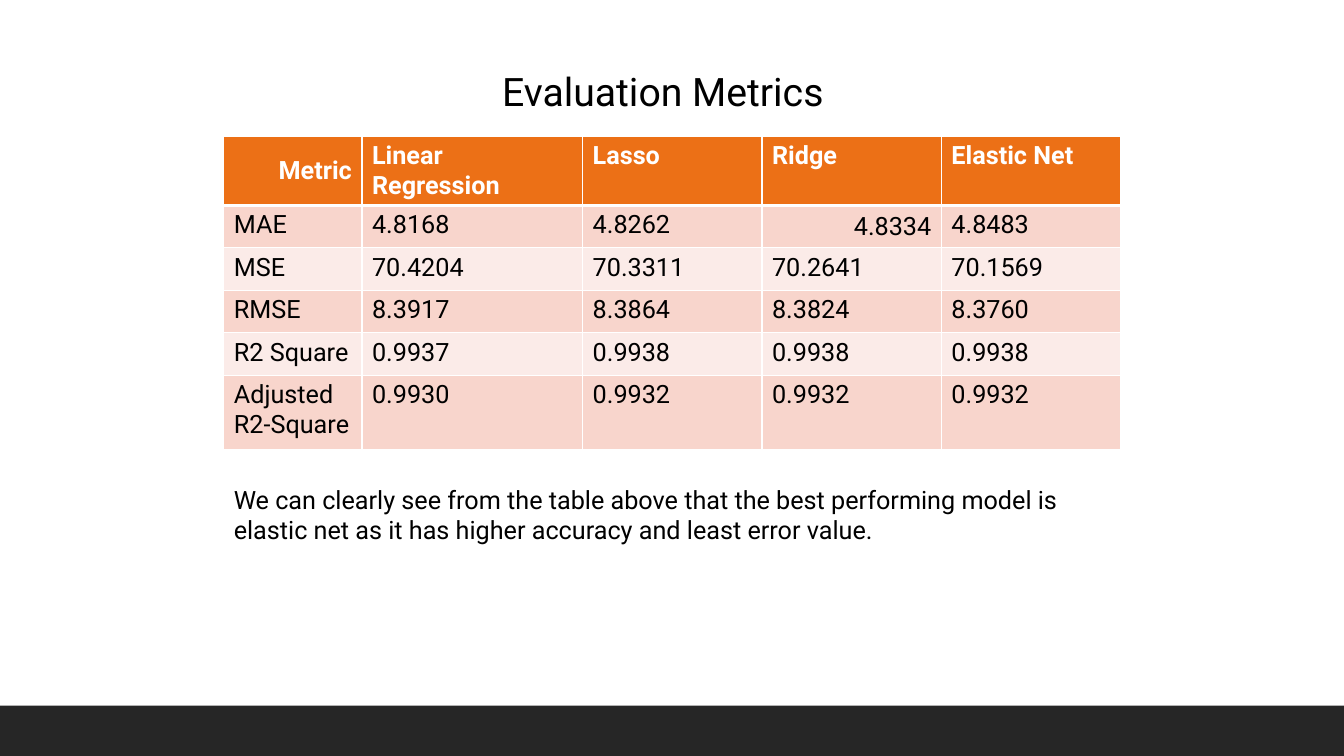
from lxml import etree
from pptx import Presentation
from pptx.dml.color import RGBColor
from pptx.enum.shapes import MSO_SHAPE
from pptx.enum.text import MSO_ANCHOR, PP_ALIGN
from pptx.oxml.ns import qn
from pptx.util import Cm, Pt

RECTANGLE = MSO_SHAPE.RECTANGLE
TOP, MIDDLE = MSO_ANCHOR.TOP, MSO_ANCHOR.MIDDLE
LEFT, RIGHT = PP_ALIGN.LEFT, PP_ALIGN.RIGHT

FONT = "Roboto"
COLORS = {
    "header": "EC7016",
    "odd_row": "F8D5CC",
    "even_row": "FBEBE8",
    "footer": "262626",
    "white": "FFFFFF",
    "black": "000000",
}
METRICS = [
    ["Metric", "Linear Regression", "Lasso", "Ridge", "Elastic Net"],
    ["MAE", "4.8168", "4.8262", "4.8334", "4.8483"],
    ["MSE", "70.4204", "70.3311", "70.2641", "70.1569"],
    ["RMSE", "8.3917", "8.3864", "8.3824", "8.3760"],
    ["R2 Square", "0.9937", "0.9938", "0.9938", "0.9938"],
    ["Adjusted R2-Square", "0.9930", "0.9932", "0.9932", "0.9932"],
]
COLUMN_WIDTHS = [3.48, 5.56, 4.52, 4.52, 4.52]
ROW_HEIGHTS = [1.07] * 5 + [1.88]
RIGHT_ALIGNED = {(0, 0), (1, 3)}
CONCLUSION = (
    "We can clearly see from the table above that the best performing model is "
    "elastic net as it has higher accuracy and least error value."
)


def rgb(name):
    return RGBColor.from_string(COLORS[name])


def write(frame, text, size=18, color="black", bold=False, align=LEFT):
    paragraph = frame.paragraphs[0]
    paragraph.alignment = align
    run = paragraph.add_run()
    run.text = text
    run.font.name = FONT
    run.font.size = Pt(size)
    run.font.bold = bold
    run.font.color.rgb = rgb(color)


def add_text(slide, text, left, top, width, height, indent=0.25, **style):
    frame = slide.shapes.add_textbox(Cm(left), Cm(top), Cm(width), Cm(height)).text_frame
    frame.word_wrap = True
    frame.margin_left = Cm(indent)
    write(frame, text, **style)


def add_footer(slide):
    footer = slide.shapes.add_shape(RECTANGLE, 0, Cm(17.78), Cm(33.86), Cm(1.27))
    footer.shadow.inherit = False
    footer.fill.solid()
    footer.fill.fore_color.rgb = rgb("footer")
    footer.line.fill.background()


def set_borders(cell, top, bottom):
    properties = cell._tc.get_or_add_tcPr()
    widths = {"a:lnL": 1, "a:lnR": 1, "a:lnT": top, "a:lnB": bottom}
    for position, (side, width) in enumerate(widths.items()):
        border = etree.Element(qn(side), w=str(Pt(width)))
        fill = etree.SubElement(border, qn("a:solidFill"))
        etree.SubElement(fill, qn("a:srgbClr"), val=COLORS["white"])
        properties.insert(position, border)


def fill_cell(cell, text, row, column):
    header = row == 0
    to_right = (row, column) in RIGHT_ALIGNED
    cell.fill.solid()
    cell.fill.fore_color.rgb = rgb("header" if header else "odd_row" if row % 2 else "even_row")
    cell.vertical_anchor = MIDDLE if to_right else TOP
    set_borders(cell, top=3 if row == 1 else 1, bottom=3 if header else 1)
    write(
        cell.text_frame,
        text,
        color="white" if header else "black",
        bold=header,
        align=RIGHT if to_right else LEFT,
    )


def add_metrics_table(slide):
    metrics = slide.shapes.add_table(
        len(METRICS), len(COLUMN_WIDTHS), Cm(5.64), Cm(3.43),
        Cm(sum(COLUMN_WIDTHS)), Cm(sum(ROW_HEIGHTS)),
    ).table
    for column, width in zip(metrics.columns, COLUMN_WIDTHS):
        column.width = Cm(width)
    for row, height in zip(metrics.rows, ROW_HEIGHTS):
        row.height = Cm(height)
    for row, values in enumerate(METRICS):
        for column, value in enumerate(values):
            fill_cell(metrics.cell(row, column), value, row, column)


def main():
    presentation = Presentation()
    presentation.slide_width = Cm(33.86)
    presentation.slide_height = Cm(19.05)
    slide = presentation.slides.add_slide(presentation.slide_layouts[6])
    add_footer(slide)
    add_metrics_table(slide)
    add_text(slide, "Evaluation Metrics", 10.82, 1.57, 10.52, 1.45, indent=1.83, size=28)
    add_text(slide, CONCLUSION, 5.64, 12.07, 22.6, 1.8)
    presentation.save("out.pptx")


if __name__ == "__main__":
    main()
